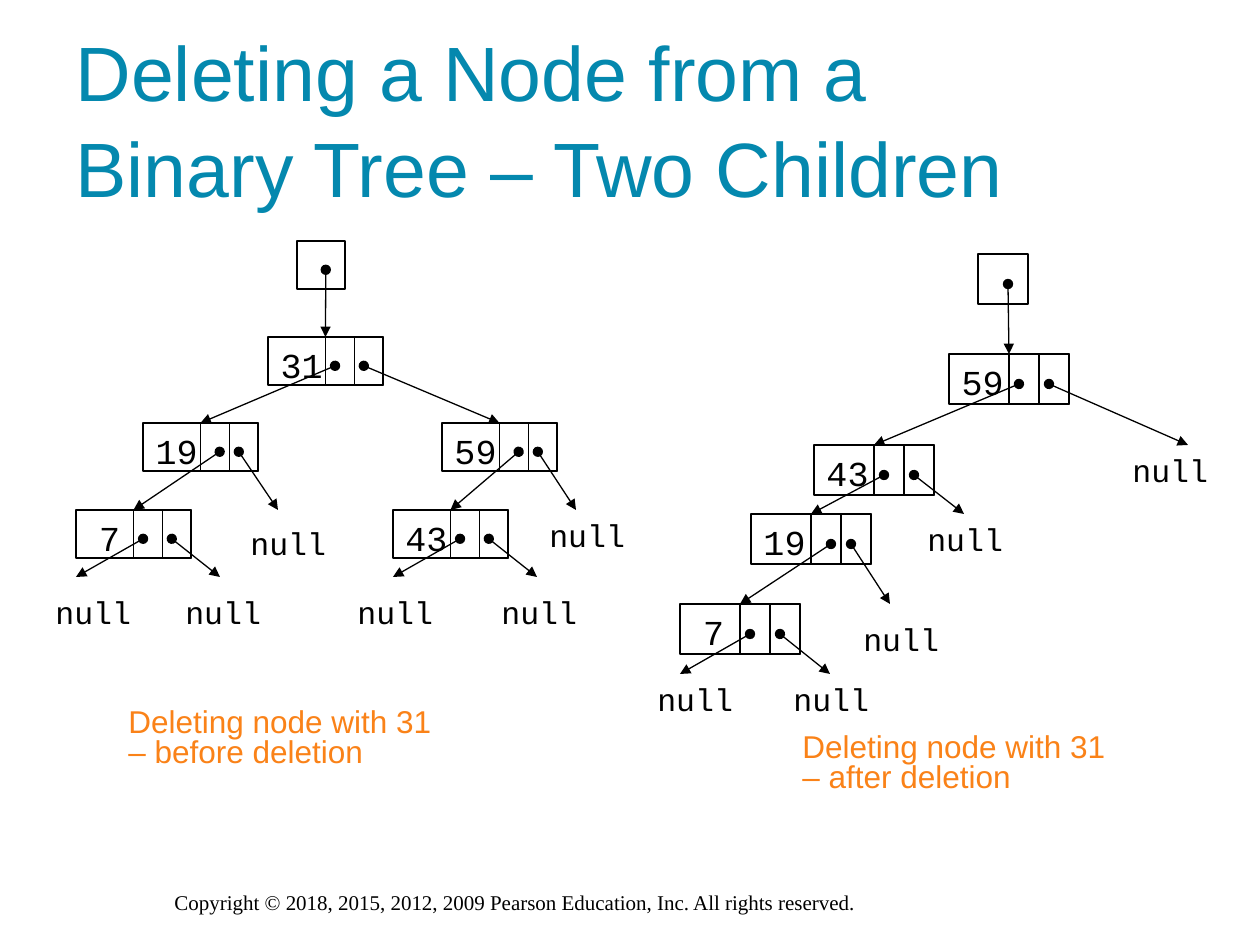
from lxml import etree
from pptx import Presentation
from pptx.dml.color import RGBColor
from pptx.enum.shapes import MSO_CONNECTOR as Link, MSO_SHAPE as Kind
from pptx.enum.text import MSO_ANCHOR as Anchor, MSO_AUTO_SIZE as Fit, PP_ALIGN as Align
from pptx.oxml.ns import qn
from pptx.util import Pt

PX = 914400 / 126
BLACK, TEAL, ORANGE = "000000", "0488AE", "FA8218"
MONO = "Courier New"

# Node: name -> x, y, first dot as share of the width, left child, right child.
# A child is a node name, or a null given as tip x, tip y, label x, label y.
BEFORE = {
    "31": (268, 337, 7 / 12, "19", "59"),
    "19": (143, 423, 2 / 3, "7", (278, 510, 238, 518)),
    "59": (442, 423, 2 / 3, "43", (576, 510, 537, 510)),
    "7": (76, 510, 7 / 12, (76, 577, 43, 587), (220, 577, 173, 587)),
    "43": (393, 510, 7 / 12, (393, 577, 345, 587), (537, 577, 489, 587)),
}
AFTER = {
    "59": (949, 354, 7 / 12, "43", (1188, 445, 1120, 445)),
    "43": (814, 445, 7 / 12, "19", (964, 514, 915, 514)),
    "19": (751, 514, 2 / 3, "7", (890, 604, 851, 614)),
    "7": (680, 604, 7 / 12, (680, 674, 645, 674), (830, 674, 781, 674)),
}


def px(*nums):
    return [round(n * PX) for n in nums]


def paint(hue):
    return RGBColor.from_string(hue)


def add_run(para, text, size, font, hue):
    run = para.add_run()
    run.text = text
    run.font.size, run.font.name = Pt(size), font
    run.font.color.rgb = paint(hue)


def add_text(shapes, box, text, size, font, hue=BLACK, wrap=False, align=Align.LEFT):
    frame = shapes.add_textbox(*px(*box)).text_frame
    frame.word_wrap = wrap
    para = frame.paragraphs[0]
    para.alignment = align
    add_run(para, text, size, font, hue)
    return para


def add_rect(shapes, *box):
    rect = shapes.add_shape(Kind.RECTANGLE, *px(*box))
    rect.shadow.inherit = False
    rect.fill.background()
    rect.line.color.rgb = paint(BLACK)
    rect.line.width = Pt(0.75)
    return rect


def add_arrow(shapes, start, goal):
    """Draw from a dot to a point, or to the top of a node."""
    fixed = isinstance(goal, tuple)
    tip = goal if fixed else start
    line = shapes.add_connector(Link.STRAIGHT, *px(*start, *tip))
    if not fixed:
        line.end_connect(goal, 0)
    line.line.color.rgb = paint(BLACK)
    line.line.width = Pt(0.75)
    ln = line.line._get_or_add_ln()
    etree.SubElement(ln, qn("a:headEnd"), type="oval")
    etree.SubElement(ln, qn("a:tailEnd"), type="triangle")
    etree.SubElement(line._element.spPr, qn("a:effectLst"))


def add_node(shapes, name, x, y, wide, high):
    rect = add_rect(shapes, x, y, wide, high)
    for part in (2, 3):
        add_rect(shapes, x + part * wide / 4, y, wide / 4, high)
    add_text(shapes, (x, y, 67, 55), name, 20, MONO, align=Align.CENTER)
    return rect


def add_tree(slide, nodes, root, wide, high):
    shapes = slide.shapes.add_group_shape().shapes

    # Root reference and nodes
    x, y = root
    add_rect(shapes, x, y, high, high)
    rects = {name: add_node(shapes, name, *node[:2], wide, high)
             for name, node in nodes.items()}
    top = next(iter(rects.values()))
    add_arrow(shapes, (x + 0.6 * high, y + 0.6 * high), top)

    # Links to children, or to null
    for x, y, first, left, right in nodes.values():
        for share, child in ((first, left), (5 / 6, right)):
            dot = (x + share * wide, y + 0.6 * high)
            if child in rects:
                add_arrow(shapes, dot, rects[child])
            else:
                add_arrow(shapes, dot, child[:2])
                add_text(shapes, (*child[2:], 101, 50), "null", 18, MONO)


def set_title(slide, *lines):
    title = slide.shapes.title
    title.left, title.top, title.width, title.height = px(63, 38, 1134, 157)
    frame = title.text_frame
    frame.auto_size = Fit.NONE
    frame.vertical_anchor = Anchor.MIDDLE
    para = frame.paragraphs[0]
    para.alignment = Align.LEFT
    para.line_spacing = 1.04
    for i, line in enumerate(lines):
        if i:
            para.add_line_break()
        add_run(para, line, 44, "Arial", TEAL)


def add_note(slide, x, y, text):
    para = add_text(slide.shapes, (x, y, 349, 73), text, 18, "Arial", ORANGE, wrap=True)
    para.line_spacing = 0.8


def main():
    deck = Presentation()
    deck.slide_width, deck.slide_height = px(1260, 945)
    slide = deck.slides.add_slide(deck.slide_layouts[5])

    # Title and footer
    set_title(slide, "Deleting a Node from a ", "Binary Tree – Two Children")
    add_text(slide.shapes, (162, 883, 935, 38),
             "Copyright © 2018, 2015, 2012, 2009 Pearson Education, Inc. All rights reserved.",
             12, "Times New Roman", wrap=True)

    # Trees with captions
    add_tree(slide, BEFORE, (297, 241), 115, 48)
    add_note(slide, 116, 703, "Deleting node with 31 – before deletion")
    add_note(slide, 790, 728, "Deleting node with 31 – after deletion")
    add_tree(slide, AFTER, (978, 254), 120, 50)

    deck.save("out.pptx")


if __name__ == "__main__":
    main()
